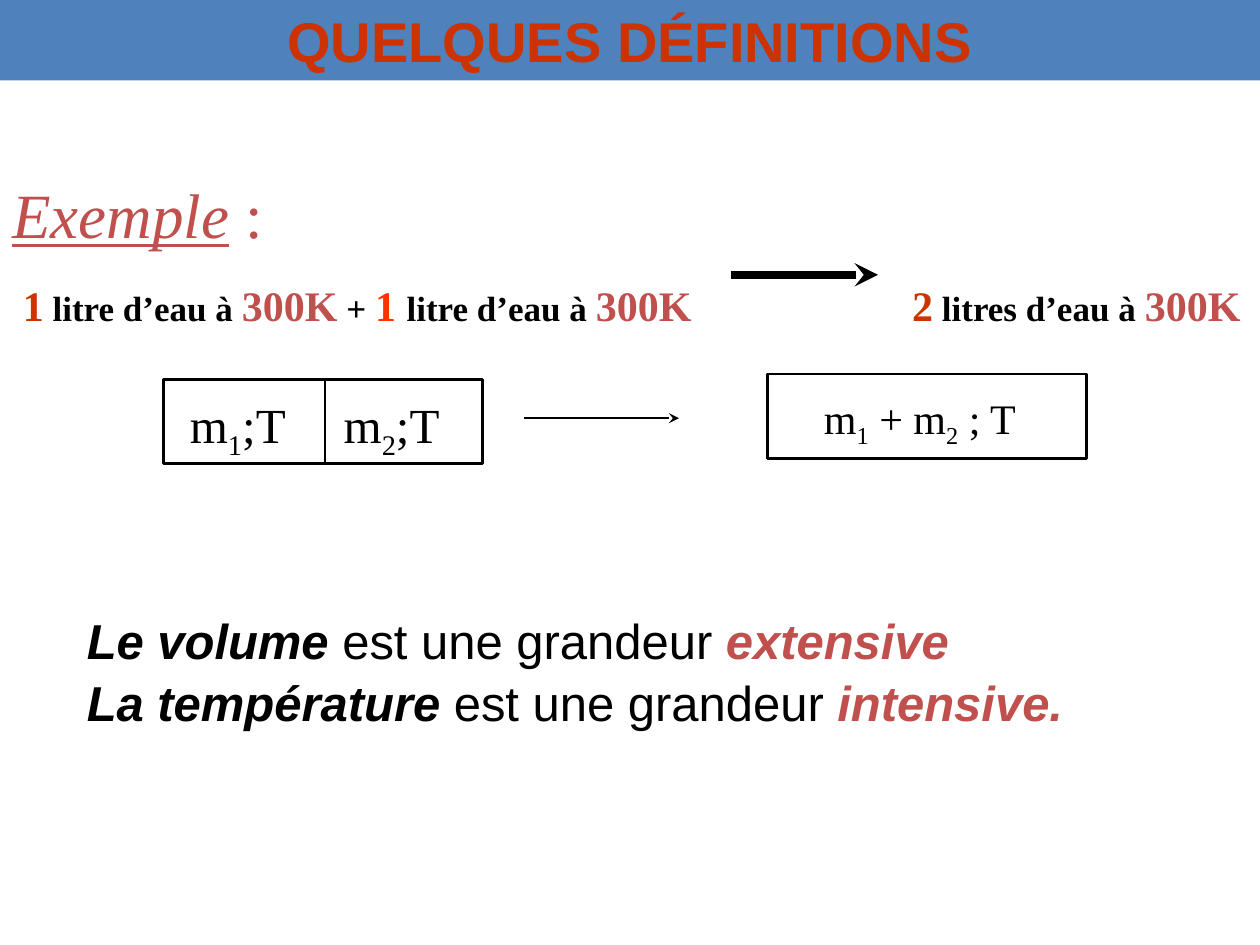
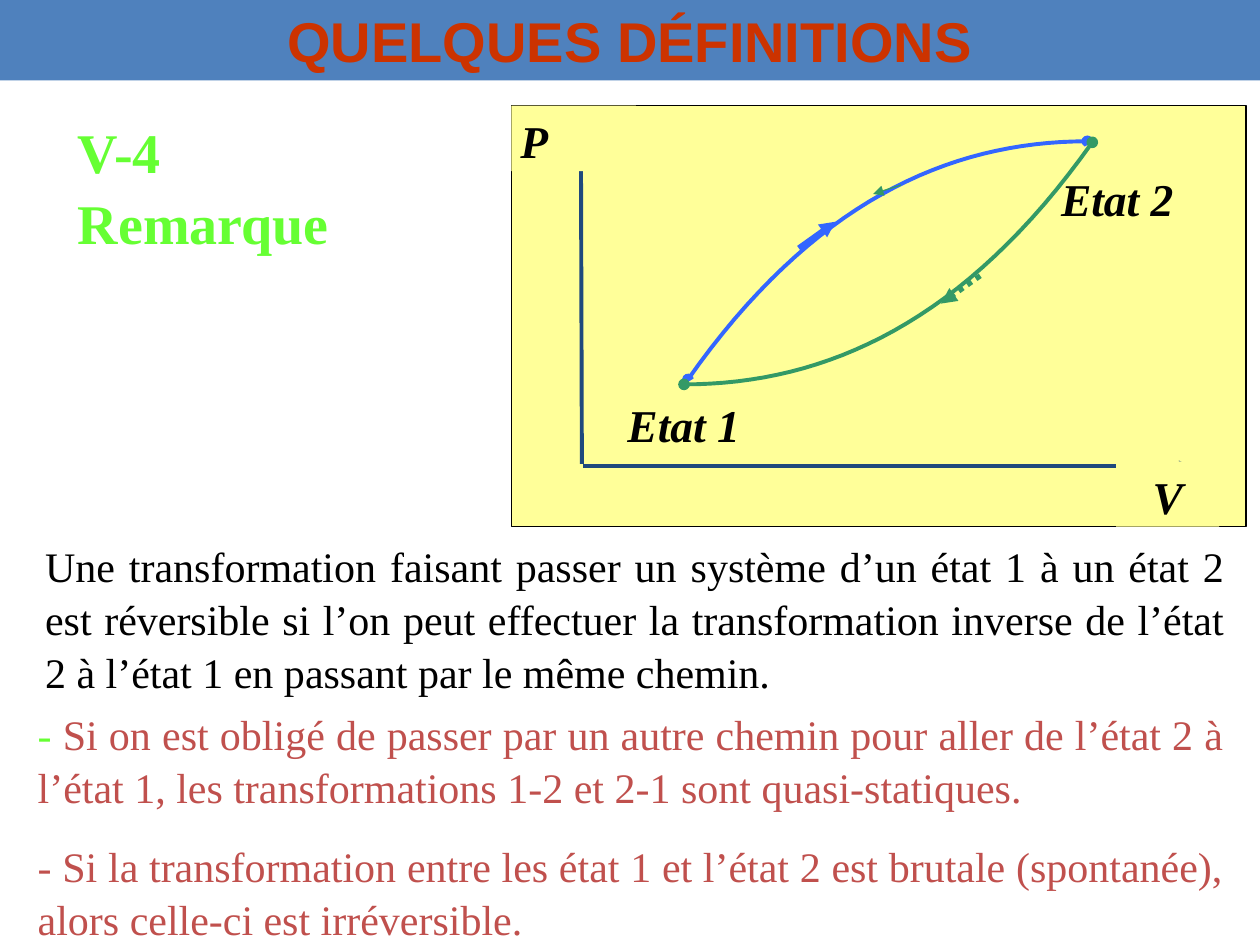
from typing import NamedTuple, Optional

from lxml.etree import SubElement
from pptx import Presentation
from pptx.dml.color import RGBColor
from pptx.enum.dml import MSO_LINE
from pptx.enum.shapes import MSO_CONNECTOR, MSO_SHAPE
from pptx.enum.text import MSO_ANCHOR, PP_ALIGN
from pptx.oxml.ns import qn
from pptx.util import Cm, Pt

INK = {
    "black": "000000",
    "band": "4F81BD",
    "rust": "CC3300",
    "brick": "C0504D",
    "flame": "FF3300",
    "lime": "66FF33",
    "cream": "FFFF99",
    "navy": "1F497D",
    "blue": "3366FF",
    "green": "339966",
}
SANS, SERIF = "Arial", "Times New Roman"
WIDE, TALL = 25.4, 19.05
BEND = ((0, 0), (0.31, 0.74), (0.65, 1), (1, 1))
STEPS = 32


class Run(NamedTuple):
    text: str
    ink: Optional[str] = None
    size: Optional[float] = None
    bold: Optional[bool] = None
    slant: Optional[bool] = None
    under: Optional[bool] = None
    low: bool = False


class Para(NamedTuple):
    runs: tuple[Run, ...]
    size: float
    face: str = SERIF
    ink: str = "black"
    bold: bool = False
    slant: bool = False
    align: PP_ALIGN = PP_ALIGN.LEFT
    before: float = 0
    tab: float = 0


class Box(NamedTuple):
    left: float
    top: float
    width: float
    height: float
    paras: tuple[Para, ...] = ()
    fill: Optional[str] = None
    edge: Optional[str] = None
    weight: float = 0.75
    pad: tuple[float, float] = (0.25, 0.13)
    anchor: MSO_ANCHOR = MSO_ANCHOR.TOP


class Stroke(NamedTuple):
    start: tuple[float, float]
    end: tuple[float, float]
    ink: str
    weight: float
    tip: Optional[str] = None
    dash: Optional[MSO_LINE] = None


class Curve(NamedTuple):
    start: tuple[float, float]
    span: tuple[float, float]
    ink: str


def tint(name: str) -> RGBColor:
    return RGBColor.from_string(INK[name])


def write_run(para, spec_run: Run) -> None:
    run = para.add_run()
    run.text = spec_run.text
    font = run.font
    if spec_run.ink:
        font.color.rgb = tint(spec_run.ink)
    if spec_run.size:
        font.size = Pt(spec_run.size)
    if spec_run.bold is not None:
        font.bold = spec_run.bold
    if spec_run.slant is not None:
        font.italic = spec_run.slant
    if spec_run.under:
        font.underline = True
    if spec_run.low:
        run._r.get_or_add_rPr().set("baseline", "-25000")


def write(frame, box: Box) -> None:
    frame.word_wrap = True
    frame.vertical_anchor = box.anchor
    frame.margin_left = frame.margin_right = Cm(box.pad[0])
    frame.margin_top = frame.margin_bottom = Cm(box.pad[1])
    for count, item in enumerate(box.paras):
        para = frame.add_paragraph() if count else frame.paragraphs[0]
        para.alignment = item.align
        para.line_spacing = 1.05
        if count:
            para.space_before = Pt(item.before)
        if item.tab:
            stops = SubElement(para._p.get_or_add_pPr(), qn("a:tabLst"))
            SubElement(stops, qn("a:tab"), pos=str(Cm(item.tab)), algn="l")
        font = para.font
        font.name, font.size = item.face, Pt(item.size)
        font.bold, font.italic = item.bold, item.slant
        font.color.rgb = tint(item.ink)
        for run in item.runs:
            write_run(para, run)


def draw_box(slide, box: Box) -> None:
    place = [Cm(size) for size in box[:4]]
    if box.fill or box.edge:
        shape = slide.shapes.add_shape(MSO_SHAPE.RECTANGLE, *place)
        shape.shadow.inherit = False
        if box.fill:
            shape.fill.solid()
            shape.fill.fore_color.rgb = tint(box.fill)
        else:
            shape.fill.background()
        if box.edge:
            shape.line.color.rgb = tint(box.edge)
            shape.line.width = Pt(box.weight)
        else:
            shape.line.fill.background()
    else:
        shape = slide.shapes.add_textbox(*place)
    if box.paras:
        write(shape.text_frame, box)


def add_ends(shape, **ends: str) -> None:
    line = shape._element.spPr.find(qn("a:ln"))
    for end, kind in ends.items():
        SubElement(line, qn(f"a:{end}"), type=kind)


def draw_stroke(slide, mark: Stroke) -> None:
    points = [Cm(size) for size in mark.start + mark.end]
    shape = slide.shapes.add_connector(MSO_CONNECTOR.STRAIGHT, *points)
    shape.line.color.rgb = tint(mark.ink)
    shape.line.width = Pt(mark.weight)
    if mark.dash:
        shape.line.dash_style = mark.dash
    if mark.tip:
        add_ends(shape, tailEnd=mark.tip)
    SubElement(shape._element.spPr, qn("a:effectLst"))


def bend_at(step: float, axis: int) -> float:
    rest = 1 - step
    parts = (rest**3, 3 * rest**2 * step, 3 * rest * step**2, step**3)
    return sum(part * knot[axis] for part, knot in zip(parts, BEND))


def draw_curve(slide, curve: Curve) -> None:
    points = [
        tuple(
            Cm(curve.start[axis] + curve.span[axis] * bend_at(step / STEPS, axis))
            for axis in (0, 1)
        )
        for step in range(STEPS + 1)
    ]
    pen = slide.shapes.build_freeform(*points[0])
    pen.add_line_segments(points[1:], close=False)
    shape = pen.convert_to_shape()
    shape.shadow.inherit = False
    shape.fill.solid()
    shape.fill.fore_color.rgb = tint("cream")
    shape.line.color.rgb = tint(curve.ink)
    shape.line.width = Pt(2.25)
    add_ends(shape, headEnd="oval", tailEnd="oval")


DRAW = {Box: draw_box, Stroke: draw_stroke, Curve: draw_curve}


def mass(sign: str) -> tuple[Run, Run]:
    return Run("m"), Run(sign, low=True)


def state(left: float, sign: str) -> Box:
    return Box(left, 7.75, 2.85, 1.6, (Para((*mass(sign), Run(";T")), 28),))


def tank(left: float, top: float) -> Box:
    return Box(left, top, 6.43, 1.7, edge="black", weight=1.5)


def label(left: float, top: float, width: float, text: str,
          align: PP_ALIGN = PP_ALIGN.LEFT) -> Box:
    para = Para((Run(text),), 26, bold=True, slant=True, align=align)
    return Box(left, top, width, 1.32, (para,), fill="cream", pad=(0.18, 0.1))


def claim(thing: str, kind: str) -> Para:
    return Para((
        Run(thing, bold=True, slant=True),
        Run(" est une grandeur "),
        Run(kind, "brick", bold=True, slant=True),
    ), 28, SANS)


def prose(*runs: Run, ink: str = "black") -> Para:
    return Para(runs, 24, ink=ink, align=PP_ALIGN.JUSTIFY, before=15)


BAND = Box(0, 0, WIDE, 1.62, (
    Para((Run("QUELQUES DÉFINITIONS"),), 32, SANS, "rust", True,
         align=PP_ALIGN.CENTER),
), fill="band", anchor=MSO_ANCHOR.BOTTOM)

HEAT = Run("300K", "brick", 24)

SAMPLE = (
    Box(0, 3.33, WIDE, 3.33, (
        Para((Run("Exemple", under=True), Run(" "), Run(":", slant=False)),
             36, ink="brick", slant=True),
        Para((
            Run(" ", size=24),
            Run("1", "rust", 24),
            Run(" litre d’eau à "),
            HEAT,
            Run(" + "),
            Run("1 ", "flame", 24),
            Run("litre d’eau à "),
            HEAT,
            Run("\t"),
            Run("2", "rust", 24),
            Run(" litres d’eau à "),
            HEAT,
        ), 20, bold=True, before=15, tab=18.14),
    )),
    BAND,
    Stroke((14.73, 5.54), (17.7, 5.54), "black", 4.5, "stealth"),
    tank(3.3, 7.65),
    Stroke((6.55, 7.65), (6.55, 9.35), "black", 1.5),
    state(3.58, "1"),
    state(6.68, "2"),
    tank(15.47, 7.54),
    Box(16.36, 7.72, 5.1, 1.42, (
        Para((*mass("1"), Run(" + "), *mass("2"), Run(" ; T")), 24),
    )),
    Stroke((10.57, 8.43), (13.69, 8.43), "black", 1.5, "stealth"),
    Box(1.5, 12.12, 22.81, 2.64, (
        claim("Le volume", "extensive"),
        claim("La température", "intensive."),
    )),
)

REMARK = (
    Box(10.31, 2.13, 14.81, 8.48, fill="cream", edge="black"),
    Stroke((11.73, 9.35), (11.71, 2.79), "navy", 2.25, "triangle"),
    Stroke((11.76, 9.4), (24, 9.4), "navy", 2.25, "triangle"),
    label(22.5, 9.3, 2.08, "V", PP_ALIGN.CENTER),
    label(10.31, 2.13, 2.51, "P"),
    label(12.47, 7.85, 2.79, "Etat 1"),
    label(21.21, 3.3, 2.79, "Etat 2"),
    Curve((13.87, 7.65), (8.05, -4.8), "blue"),
    Stroke((16.1, 5), (16.84, 4.47), "blue", 3, "triangle"),
    Stroke((18.16, 3.73), (17.6, 3.91), "green", 0.75, "triangle"),
    Curve((22.02, 2.87), (-8.23, 4.88), "green"),
    Stroke((19.76, 5.56), (18.97, 6.12), "green", 3, "triangle",
           MSO_LINE.ROUND_DOT),
    Box(0.51, 14.1, 24.41, 4.85, (
        prose(
            Run("- ", "lime"),
            Run("Si on est obligé de passer par un autre chemin pour aller de "
                "l’état 2 à l’état 1, les transformations 1-2 et 2-1 sont "
                "quasi-statiques."),
            ink="brick"),
        prose(
            Run("- Si la transformation entre les état 1 et l’état 2 est brutale "
                "(spontanée), alors celle-ci est irréversible."),
            ink="brick"),
    )),
    BAND,
    Box(1.32, 2.18, 6.6, 2.9, (
        Para((Run("V-4 Remarque"),), 32, ink="lime", bold=True),
    )),
    Box(0.66, 10.72, 24.28, 3.3, (
        prose(Run("Une transformation faisant passer un système d’un état 1 à un "
                  "état 2 est réversible si l’on peut effectuer la transformation "
                  "inverse de l’état 2 à l’état 1 en passant par le même chemin.")),
    )),
)


def main() -> None:
    deck = Presentation()
    deck.slide_width, deck.slide_height = Cm(WIDE), Cm(TALL)
    for page in (SAMPLE, REMARK):
        slide = deck.slides.add_slide(deck.slide_layouts[6])
        for item in page:
            DRAW[type(item)](slide, item)
    deck.save("out.pptx")


if __name__ == "__main__":
    main()
